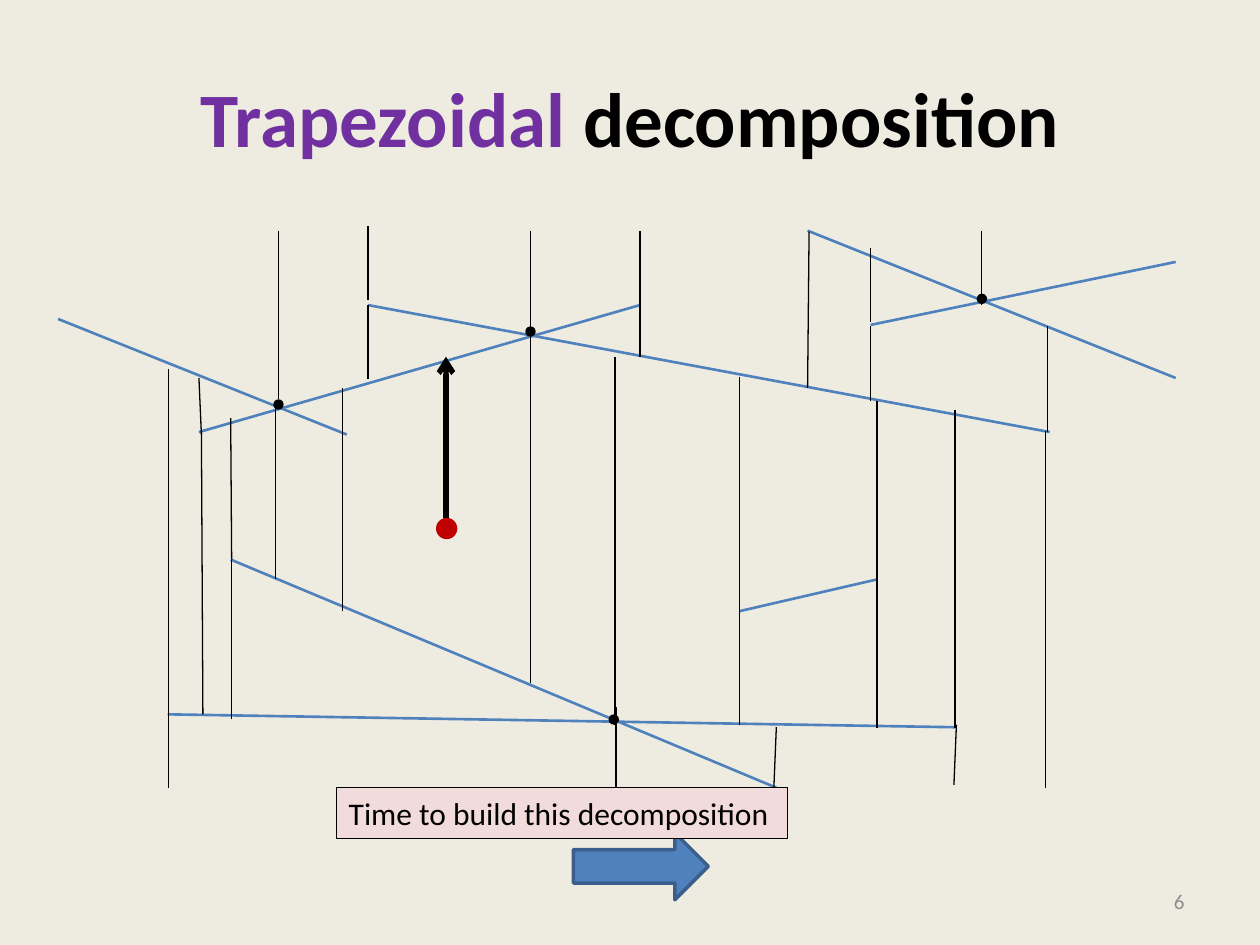
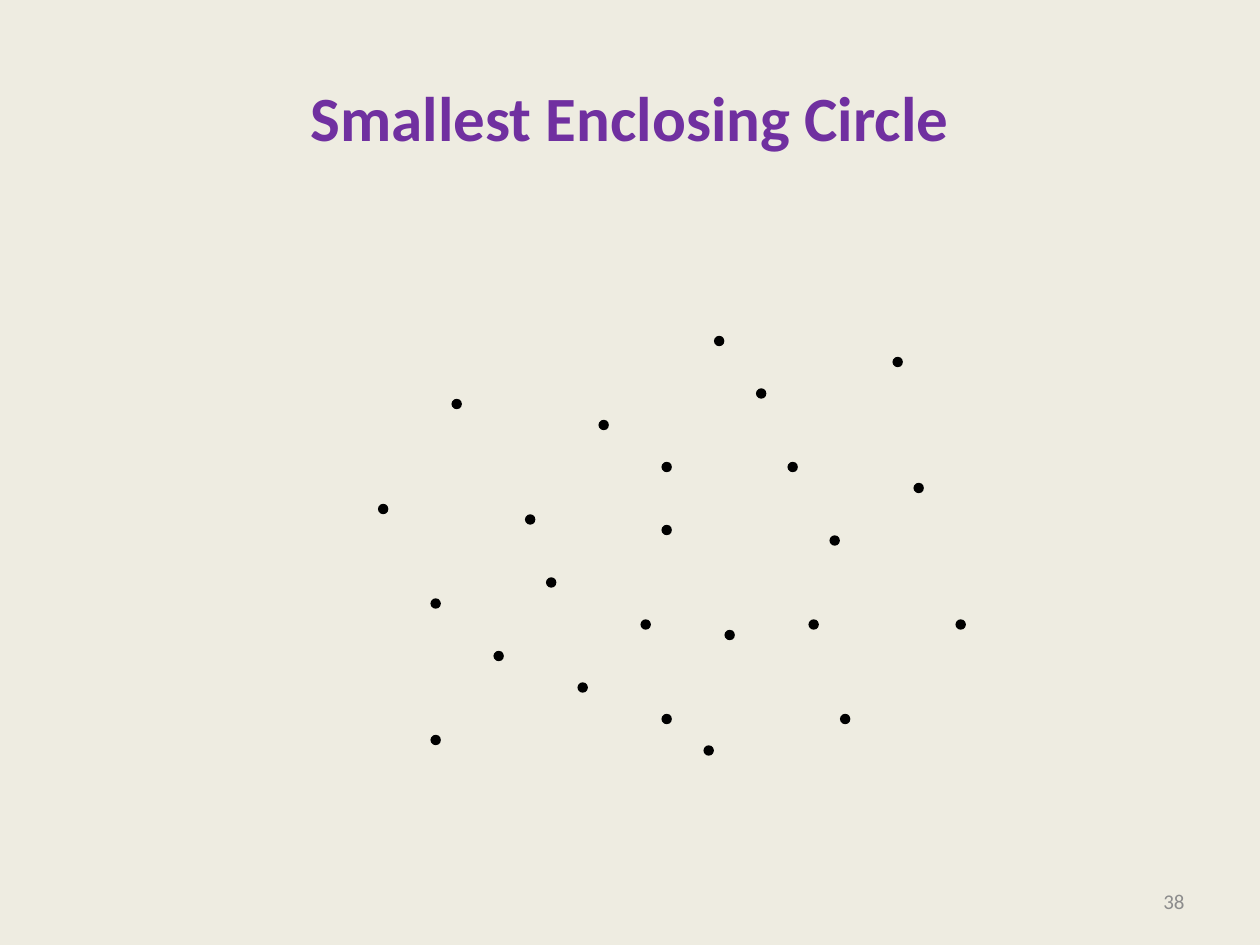
from collections import namedtuple

from lxml.etree import SubElement
from pptx import Presentation
from pptx.dml.color import RGBColor
from pptx.enum.shapes import MSO_CONNECTOR, MSO_SHAPE
from pptx.enum.text import MSO_ANCHOR, MSO_AUTO_SIZE, PP_ALIGN
from pptx.oxml.ns import qn
from pptx.util import Cm, Pt

CREAM = RGBColor(0xEE, 0xEC, 0xE1)
PURPLE = RGBColor(0x70, 0x30, 0xA0)
BLACK = RGBColor(0x00, 0x00, 0x00)
GREY = RGBColor(0x8C, 0x8C, 0x8C)
BLUE = RGBColor(0x4F, 0x81, 0xBD)
DARK_BLUE = RGBColor(0x3A, 0x5F, 0x8C)
RED = RGBColor(0xC0, 0x00, 0x00)
PINK = RGBColor(0xF2, 0xDC, 0xDB)

Box = namedtuple("Box", "left top width height")

TITLE_BOX = Box(1.27, 0.76, 22.86, 3.18)
NUMBER_BOX = Box(18.21, 17.65, 5.92, 1.02)
DIAGRAM_BOX = Box(1, 4.5, 23, 11.5)
CAPTION_BOX = Box(6.78, 15.88, 9.09, 1.02)
NEXT_ARROW_BOX = Box(11.56, 16.79, 2.72, 1.35)
CLOUD_BOX = Box(7.62, 6.77, 11.9, 8.5)

GRID_STEP = 2.54 / 12
DOT_SIZE = 0.21
QUERY_SIZE = 0.43

TITLE_FONT = {"name": "Calibri", "bold": True}
NUMBER_FONT = {"name": "Calibri", "size": Pt(12)}
CAPTION_FONT = {"name": "Calibri", "size": Pt(18)}

SEGMENTS = [
    (18.25, 10.16, 2.38, 9.9),
    (11.9, 1.65, 3.01, 4.21),
    (16.68, 7.18, 13.91, 7.82),
    (20.16, 4.21, 6.42, 1.65),
    (14.65, 11.38, 3.65, 6.78),
    (22.7, 0.78, 16.55, 2.05),
    (22.7, 3.12, 15.28, 0.15),
    (5.99, 4.26, 0.17, 1.93),
]
VERTICAL_WALLS = [
    (2.4, 2.94, 9.9), (2.4, 9.75, 11.38),
    (3.67, 6.78, 10),
    (4.56, 3.58, 7.18), (4.61, 0.15, 3.55),
    (5.91, 3.32, 4.11), (5.91, 4.11, 7.82),
    (6.42, 0.05, 1.55), (6.42, 1.65, 3.15),
    (9.69, 0.15, 2.13), (9.69, 2.13, 9.27),
    (11.4, 2.69, 10.11), (11.42, 9.75, 11.38),
    (11.9, 0.15, 1.65), (11.9, 1.65, 2.69),
    (13.91, 3.09, 7.82), (13.91, 7.74, 10.11),
    (16.55, 0.5, 2), (16.55, 2.08, 3.58),
    (16.68, 3.58, 7.18), (16.68, 7.18, 10.18),
    (18.25, 3.76, 10.18),
    (18.79, 0.15, 1.65),
    (20.11, 2.08, 4.21), (20.08, 4.19, 11.38),
]
SLANTED_WALLS = [
    (3.06, 4.26, 3.01, 3.12),
    (3.09, 9.9, 3.06, 4.19),
    (3.67, 6.78, 3.65, 3.93),
    (14.6, 11.38, 14.65, 10.16),
    (18.23, 11.32, 18.28, 10.11),
    (15.28, 3.32, 15.31, 0.17),
]
CROSSINGS = [(9.59, 2.08), (18.69, 1.42), (11.27, 9.9), (4.51, 3.55)]

CLOUD_POINTS = [
    (32, 0), (49, 2), (36, 5), (7, 6), (21, 8), (27, 12), (39, 12),
    (51, 14), (0, 16), (14, 17), (27, 18), (43, 19), (16, 23), (5, 25),
    (25, 27), (41, 27), (55, 27), (33, 28), (11, 30), (19, 33),
    (27, 36), (44, 36), (5, 38), (31, 39),
]


def apply_format(target, values):
    """Set each named attribute on the target."""
    for name, value in values.items():
        setattr(target, name, value)


def add_runs(paragraph, runs, font_values):
    """Append coloured runs that share the font values."""
    for text, colour in runs:
        run = paragraph.add_run()
        run.text = text
        apply_format(run.font, font_values)
        run.font.color.rgb = colour


def add_text(slide, box, runs, font_values, alignment):
    """Add a wrapped, vertically centred text box."""
    frame = slide.shapes.add_textbox(*map(Cm, box)).text_frame
    apply_format(frame, {"word_wrap": True, "vertical_anchor": MSO_ANCHOR.MIDDLE})
    paragraph = frame.paragraphs[0]
    paragraph.alignment = alignment
    add_runs(paragraph, runs, font_values)


def add_filled_shape(slide, kind, box, fill, outline=None, weight=0):
    """Add a flat preset shape with an optional outline."""
    shape = slide.shapes.add_shape(kind, *map(Cm, box))
    shape.shadow.inherit = False
    shape.fill.solid()
    shape.fill.fore_color.rgb = fill
    if outline is None:
        shape.line.fill.background()
    else:
        shape.line.color.rgb = outline
        shape.line.width = Pt(weight)
    return shape


def add_dot(slide, left, top, size=DOT_SIZE, colour=BLACK):
    """Add a round dot by its top left corner."""
    add_filled_shape(slide, MSO_SHAPE.OVAL, Box(left, top, size, size), colour)


def add_line(slide, box, ends, colour, weight):
    """Add a straight line with its ends measured from the box corner."""
    start_x, start_y, end_x, end_y = ends
    line = slide.shapes.add_connector(
        MSO_CONNECTOR.STRAIGHT,
        Cm(box.left + start_x), Cm(box.top + start_y),
        Cm(box.left + end_x), Cm(box.top + end_y),
    )
    line.line.color.rgb = colour
    line.line.width = Pt(weight)
    SubElement(line._element.spPr, qn("a:effectLst"))
    return line


def add_base_slide(presentation, title_runs, title_size, number):
    """Add a slide with background, title and slide number."""
    slide = presentation.slides.add_slide(presentation.slide_layouts[6])
    slide.background.fill.solid()
    slide.background.fill.fore_color.rgb = CREAM
    title_font = {**TITLE_FONT, "size": Pt(title_size)}
    add_text(slide, TITLE_BOX, title_runs, title_font, PP_ALIGN.CENTER)
    add_text(slide, NUMBER_BOX, [(number, GREY)], NUMBER_FONT, PP_ALIGN.RIGHT)
    return slide


def add_decomposition(slide, box):
    """Draw the segments, vertical walls and crossing points."""
    for ends in SEGMENTS:
        add_line(slide, box, ends, BLUE, 1.5)
    vertical_ends = [(x, bottom, x, top) for x, top, bottom in VERTICAL_WALLS]
    for ends in vertical_ends + SLANTED_WALLS:
        add_line(slide, box, ends, BLACK, 0.75)
    for x, y in CROSSINGS:
        add_dot(slide, box.left + x, box.top + y)


def add_query(slide, box):
    """Draw the query point and the ray shot upwards from it."""
    add_dot(slide, box.left + 7.79, box.top + 5.94, QUERY_SIZE, RED)
    ray = add_line(slide, box, (7.99, 5.94, 7.99, 2.69), BLACK, 3)
    SubElement(ray.line._get_or_add_ln(), qn("a:tailEnd"), type="arrow")


def add_caption(slide, box, text):
    """Add the framed caption that fits its text."""
    shape = add_filled_shape(slide, MSO_SHAPE.RECTANGLE, box, PINK, BLACK, 0.75)
    frame = shape.text_frame
    apply_format(frame, {
        "word_wrap": False,
        "auto_size": MSO_AUTO_SIZE.SHAPE_TO_FIT_TEXT,
        "vertical_anchor": MSO_ANCHOR.TOP,
    })
    paragraph = frame.paragraphs[0]
    paragraph.alignment = PP_ALIGN.LEFT
    add_runs(paragraph, [(text, BLACK)], CAPTION_FONT)


def add_point_cloud(slide, box):
    """Place the points on a regular grid inside the box."""
    for column, row in CLOUD_POINTS:
        add_dot(slide, box.left + column * GRID_STEP, box.top + row * GRID_STEP)


def build_decomposition_slide(presentation):
    """Build the trapezoidal decomposition slide."""
    title_runs = [("Trapezoidal ", PURPLE), ("decomposition", BLACK)]
    slide = add_base_slide(presentation, title_runs, 44, "6")
    add_decomposition(slide, DIAGRAM_BOX)
    add_filled_shape(slide, MSO_SHAPE.RIGHT_ARROW, NEXT_ARROW_BOX, BLUE, DARK_BLUE, 2)
    add_query(slide, DIAGRAM_BOX)
    add_caption(slide, CAPTION_BOX, "Time to build this decomposition")


def build_circle_slide(presentation):
    """Build the smallest enclosing circle slide."""
    title_runs = [("Smallest Enclosing Circle", PURPLE)]
    slide = add_base_slide(presentation, title_runs, 36, "38")
    add_point_cloud(slide, CLOUD_BOX)


def main():
    """Create the presentation and save it."""
    presentation = Presentation()
    presentation.slide_width = Cm(25.4)
    presentation.slide_height = Cm(19.05)
    build_decomposition_slide(presentation)
    build_circle_slide(presentation)
    presentation.save("out.pptx")


if __name__ == "__main__":
    main()
